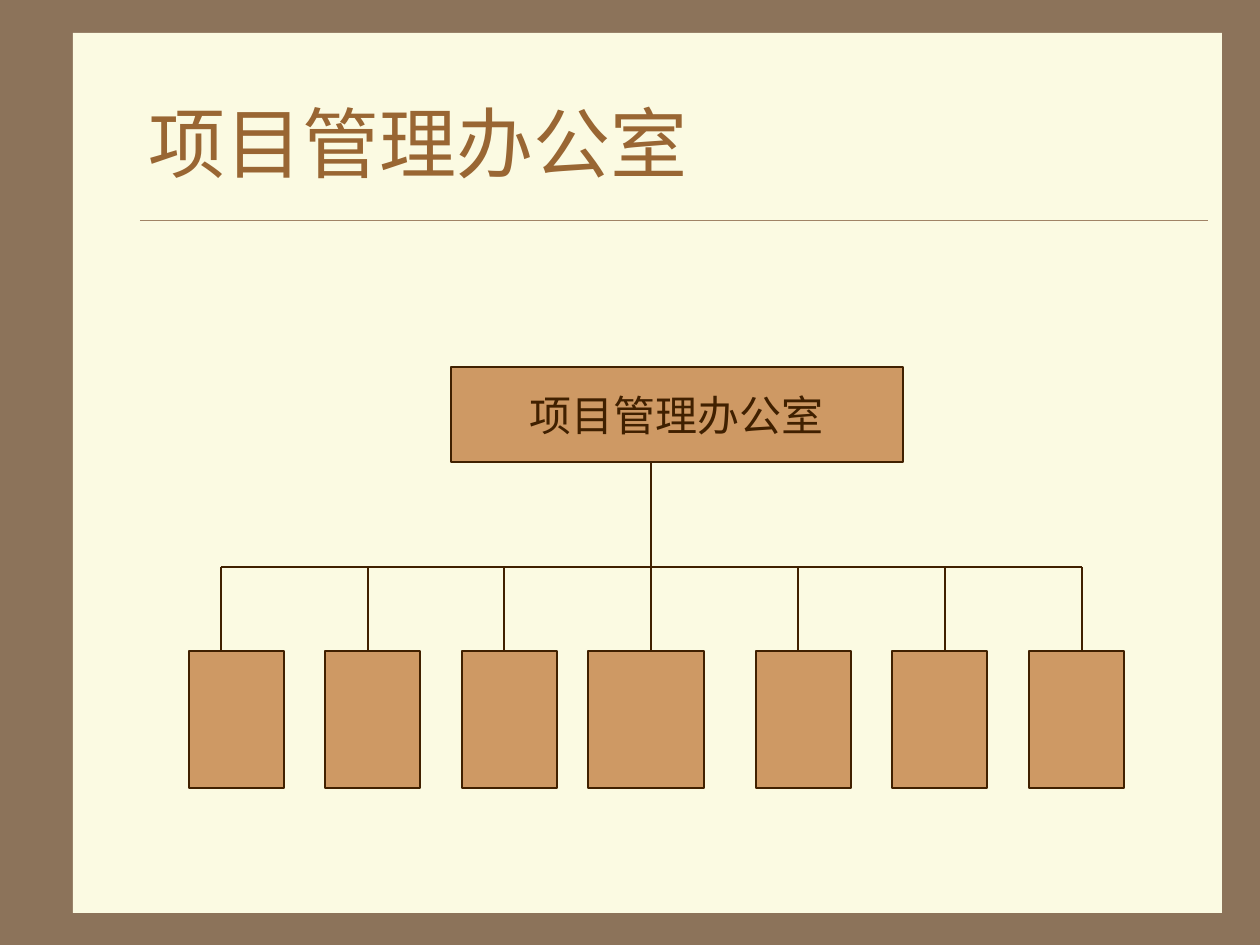
from pptx import Presentation
from pptx.dml.color import RGBColor
from pptx.enum.shapes import MSO_CONNECTOR, MSO_SHAPE
from pptx.enum.text import MSO_ANCHOR, PP_ALIGN
from pptx.oxml.ns import qn
from pptx.util import Emu, Pt
from lxml import etree

RECT = MSO_SHAPE.RECTANGLE
STRAIGHT = MSO_CONNECTOR.STRAIGHT
MIDDLE = MSO_ANCHOR.MIDDLE
LEFT, CENTER = PP_ALIGN.LEFT, PP_ALIGN.CENTER

# Content
TITLE = "项目管理办公室"
ROOT = "项目管理办公室"
# Units under the office: left, width, x of the line from above (px)
UNITS = [
    (189, 95, 221),
    (325, 95, 368),
    (462, 95, 504),
    (588, 116, 651),
    (756, 95, 798),
    (892, 95, 945),
    (1029, 95, 1082),
]

# Layout (px)
SCALE = 914400 // 126
ROOT_BOX = (451, 367, 452, 95)
TRUNK_X, BUS_Y = 651, 567
UNIT_TOP, UNIT_HEIGHT = 651, 137

# Colours
FRAME, PAPER, RULE = "8C735A", "FBFAE2", "A08366"
TITLE_INK, BOX, INK = "996633", "CE9964", "402000"


def px(n):
    return Emu(n * SCALE)


def rgb(color):
    return RGBColor.from_string(color)


def add_box(s, left, top, width, height, fill, line=None):
    shape = s.shapes.add_shape(RECT, px(left), px(top), px(width), px(height))
    shape.shadow.inherit = False
    shape.fill.solid()
    shape.fill.fore_color.rgb = rgb(fill)
    if line:
        shape.line.color.rgb = rgb(line)
        shape.line.width = Pt(0.75)
    else:
        shape.line.fill.background()
    return shape


def add_line(s, x1, y1, x2, y2, color=INK, width=0.75):
    line = s.shapes.add_connector(STRAIGHT, px(x1), px(y1), px(x2), px(y2))
    line.line.color.rgb = rgb(color)
    line.line.width = Pt(width)
    etree.SubElement(line._element.spPr, qn("a:effectLst"))


def set_text(shape, text, font, size, color, align, wrap):
    tf = shape.text_frame
    tf.word_wrap = wrap
    tf.vertical_anchor = MIDDLE
    p = tf.paragraphs[0]
    p.text = text
    p.alignment = align
    p.font.name = font
    p.font.size = Pt(size)
    p.font.color.rgb = rgb(color)


def main():
    prs = Presentation()
    prs.slide_width, prs.slide_height = px(1260), px(945)
    s = prs.slides.add_slide(prs.slide_layouts[6])

    # Framed page, title and rule
    s.background.fill.solid()
    s.background.fill.fore_color.rgb = rgb(FRAME)
    add_box(s, 73, 33, 1149, 880, PAPER)
    add_line(s, 140, 220, 1208, 220, RULE, 0.25)
    title = s.shapes.add_textbox(px(136), px(63), px(1071), px(158))
    set_text(title, TITLE, "Times New Roman", 44, TITLE_INK, LEFT, True)

    # Office box
    root = add_box(s, *ROOT_BOX, BOX, INK)
    set_text(root, ROOT, "Arial", 24, INK, CENTER, False)

    # Trunk and crossbar
    add_line(s, TRUNK_X, ROOT_BOX[1] + ROOT_BOX[3], TRUNK_X, BUS_Y)
    add_line(s, UNITS[0][2], BUS_Y, UNITS[-1][2], BUS_Y)

    # Unit boxes with their drops
    for left, width, drop_x in UNITS:
        add_box(s, left, UNIT_TOP, width, UNIT_HEIGHT, BOX, INK)
        add_line(s, drop_x, BUS_Y, drop_x, UNIT_TOP)

    prs.save("out.pptx")


if __name__ == "__main__":
    main()
